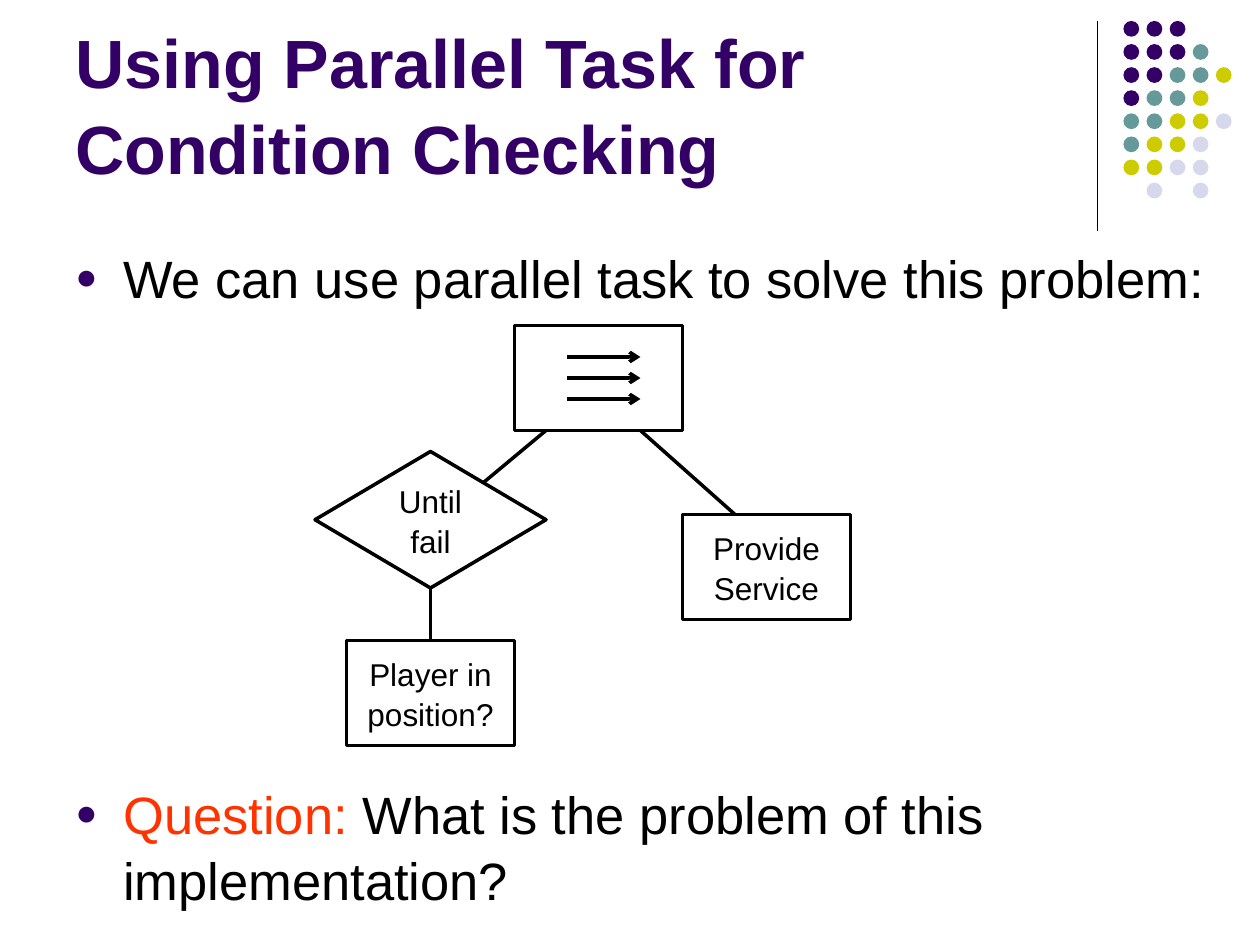
from lxml import etree
from pptx import Presentation, util as u
from pptx.dml.color import RGBColor
from pptx.enum import shapes, text
from pptx.oxml.ns import qn

PURPLE, BLACK, WHITE, RED = "330066", "000000", "FFFFFF", "FF3300"
DOT_COLOURS = {"P": PURPLE, "T": "669999", "Y": "CCCC00", "L": "D8D8EC"}

deck = Presentation()
deck.slide_width, deck.slide_height = u.Inches(10), u.Inches(7.5)
page = deck.slides.add_slide(deck.slide_layouts[6])
cell = deck.slide_width // 120  # the page is a grid of 120 columns by 90 rows


def grid(*cells):
    return [round(count * cell) for count in cells]


def style(item, colour, size=None, bold=False):
    """Colour a fill, or set the whole font when a size is given."""
    if size is None:
        item.solid()
        item.fore_color.rgb = RGBColor.from_string(colour)
    else:
        item.name, item.size, item.bold = "Arial", u.Pt(size), bold
        item.color.rgb = RGBColor.from_string(colour)


# Dot pattern in the corner
dot_rows = ["PPP", "PPPT", "PPTTY", "PTTY", "TTYYL", "TYYL", "YYLL", " L L"]
for row, letters in enumerate(dot_rows):
    for column, letter in enumerate(letters):
        if letter != " ":
            dot = page.shapes.add_shape(
                shapes.MSO_SHAPE.OVAL,
                *grid(107 + 2.2 * column, 2 + 2.2 * row, 1.5, 1.5))
            dot.shadow.inherit = False
            style(dot.fill, DOT_COLOURS[letter])
            dot.line.fill.background()

# Title
title = page.shapes.add_textbox(*grid(6, 1.5, 99, 17)).text_frame
title.word_wrap = True
title.vertical_anchor = text.MSO_ANCHOR.BOTTOM
title.text = "Using Parallel Task for Condition Checking"
title.paragraphs[0].line_spacing = 1.05
style(title.paragraphs[0].runs[0].font, PURPLE, 39, True)

# Bulleted text, with room for the diagram between the two points
body = page.shapes.add_textbox(*grid(6, 22.5, 111, 64.5)).text_frame
body.word_wrap = True
points = [
    (0, [("We can use parallel task to solve this problem:", BLACK)]),
    (268.5, [("Question: ", RED),
             ("What is the problem of this implementation?", BLACK)]),
]
for index, (gap, pieces) in enumerate(points):
    para = body.add_paragraph() if index else body.paragraphs[0]
    para.line_spacing = 1.05
    para.space_before = u.Pt(gap)
    props = para._p.get_or_add_pPr()
    props.set("marL", str(u.Inches(0.38)))
    props.set("indent", str(-u.Inches(0.38)))
    bullet_colour = etree.SubElement(props, qn("a:buClr"))
    etree.SubElement(bullet_colour, qn("a:srgbClr"), val=PURPLE)
    etree.SubElement(props, qn("a:buSzPct"), val="70000")
    etree.SubElement(props, qn("a:buFont"), typeface="Arial")
    etree.SubElement(props, qn("a:buChar"), char="●")
    for words, colour in pieces:
        span = para.add_run()
        span.text = words
        style(span.font, colour, 30)

# Nodes of the behaviour tree
RECTANGLE, DIAMOND = shapes.MSO_SHAPE.RECTANGLE, shapes.MSO_SHAPE.DIAMOND
nodes = {}
for name, kind, label, place in [
    ("parallel", RECTANGLE, "", (49, 31, 16, 10)),
    ("check", RECTANGLE, "Player in position?", (33, 61, 16, 10)),
    ("service", RECTANGLE, "Provide Service", (65, 49, 16, 10)),
    ("until", DIAMOND, "Until fail", (30, 43, 22, 13)),
]:
    node = nodes[name] = page.shapes.add_shape(kind, *grid(*place))
    node.shadow.inherit = False
    style(node.fill, WHITE)
    style(node.line.fill, BLACK)
    node.line.width = u.Pt(2)
    if label:
        frame = node.text_frame
        frame.word_wrap = True
        frame.vertical_anchor = text.MSO_ANCHOR.MIDDLE
        frame.text = label
        para = frame.paragraphs[0]
        para.alignment = text.PP_ALIGN.CENTER
        para.line_spacing = 1.05
        style(para.runs[0].font, BLACK, 18)

# Lines: ends, width, arrowhead, and the nodes joined bottom to top
for ends, width, arrow, joined in [
    ((104.5, 2, 104.5, 22), 0.75, False, None),
    ((52, 41, 46, 46), 2, False, None),
    ((61, 41, 70, 49), 2, False, None),
    ((41, 56, 41, 61), 2, False, ("until", "check")),
    *[((54, row, 61, row), 2, True, None) for row in (34, 36, 38)],
]:
    link = page.shapes.add_connector(shapes.MSO_CONNECTOR.STRAIGHT, *grid(*ends))
    style(link.line.fill, BLACK)
    link.line.width = u.Pt(width)
    etree.SubElement(link._element.spPr, qn("a:effectLst"))
    if arrow:
        etree.SubElement(link.line._get_or_add_ln(), qn("a:tailEnd"), type="arrow")
    if joined:
        link.begin_connect(nodes[joined[0]], 2)
        link.end_connect(nodes[joined[1]], 0)

# The diamond covers the end of the line that runs in under it
page.shapes._spTree.append(nodes["until"]._element)

deck.save("out.pptx")
